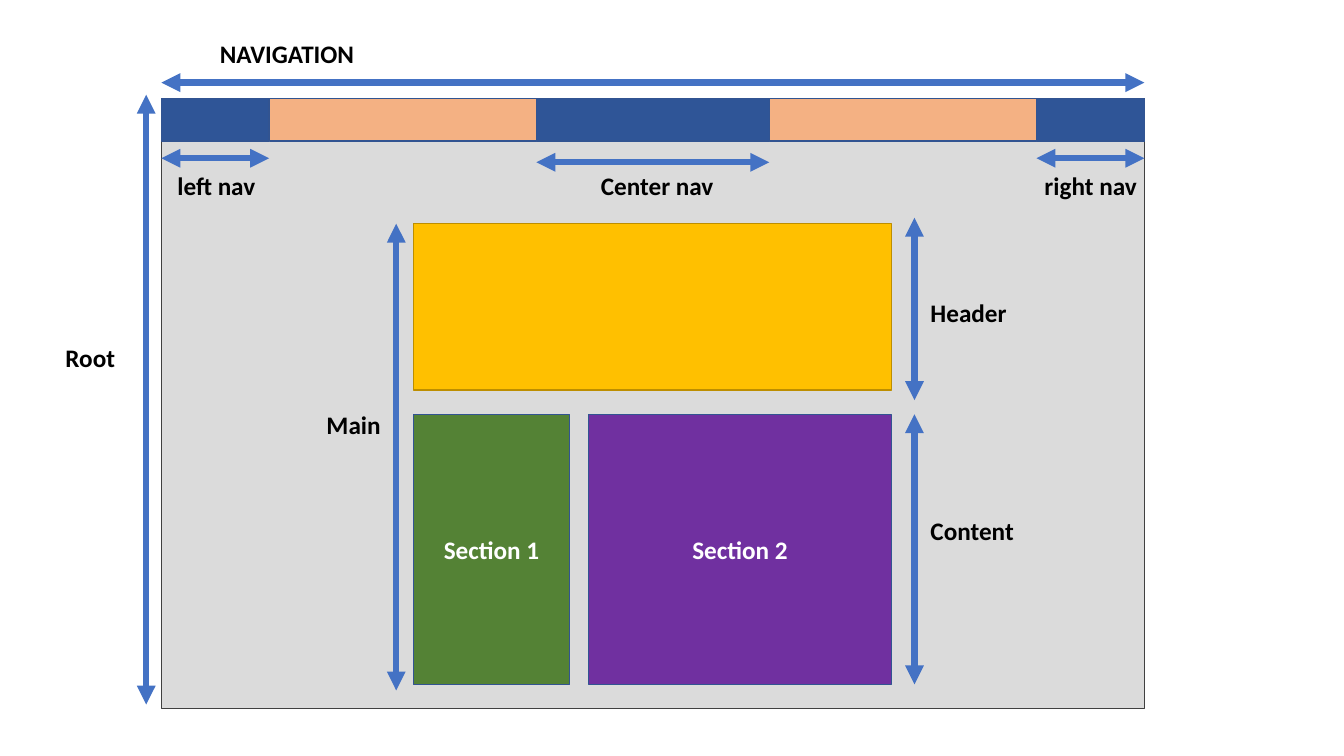
from itertools import accumulate

from lxml import etree
from pptx import Presentation
from pptx.dml.color import RGBColor
from pptx.enum import shapes, text
from pptx.oxml.ns import qn
from pptx.util import Inches, Pt

BLACK, WHITE, GREY, CHARCOAL = "000000", "FFFFFF", "DBDBDB", "404040"
NAVY, EDGE, PEACH, ARROW = "2F5597", "325491", "F4B183", "4472C4"
GOLD, GOLD_EDGE, GREEN, PURPLE = "FFC000", "BD8E00", "548235", "7030A0"


def rgb(color):
    return RGBColor.from_string(color)


def write(tf, words, color=BLACK, size=18, align=text.PP_ALIGN.LEFT):
    p = tf.paragraphs[0]
    p.alignment = align
    r = p.add_run()
    r.text = words
    r.font.name, r.font.size, r.font.bold = "Calibri", Pt(size), True
    r.font.color.rgb = rgb(color)


def add_block(s, x, y, w, h, fill, line=EDGE, words=None):
    sp = s.shapes.add_shape(shapes.MSO_SHAPE.RECTANGLE,
                            Inches(x), Inches(y), Inches(w), Inches(h))
    sp.shadow.inherit = False
    sp.fill.solid()
    sp.fill.fore_color.rgb = rgb(fill)
    sp.line.color.rgb = rgb(line)
    sp.line.width = Pt(1)
    if words:
        tf = sp.text_frame
        tf.word_wrap = True
        tf.vertical_anchor = text.MSO_ANCHOR.MIDDLE
        write(tf, words, color=WHITE, align=text.PP_ALIGN.CENTER)


def add_label(s, x, y, words, w=1.73, inset=0.16):
    sp = s.shapes.add_textbox(Inches(x), Inches(y), Inches(w), Inches(0.4))
    tf = sp.text_frame
    tf.word_wrap = True
    tf.auto_size = text.MSO_AUTO_SIZE.SHAPE_TO_FIT_TEXT
    tf.margin_left = Inches(inset)
    write(tf, words)


def add_span(s, x1, y1, x2, y2):
    """Draw a double-headed arrow that marks the extent of a region."""
    c = s.shapes.add_connector(shapes.MSO_CONNECTOR.STRAIGHT,
                               Inches(x1), Inches(y1), Inches(x2), Inches(y2))
    c.line.color.rgb = rgb(ARROW)
    c.line.width = Pt(4.5)
    ln = c.line._get_or_add_ln()
    for end in ("a:headEnd", "a:tailEnd"):
        etree.SubElement(ln, qn(end), type="triangle")
    etree.SubElement(c._element.spPr, qn("a:effectLst"))


def add_root(s, x, y, w, h):
    add_block(s, x, y, w, h, GREY, line=CHARCOAL)
    add_span(s, x - 0.15, y + h - 0.04, x - 0.15, y - 0.04)
    add_label(s, x - 1.11, y + 2.37, "Root")


def add_navigation(s, x, y, w, h):
    side, center = 1.07, 2.31
    gap = (w - 2 * side - center) / 2
    widths = [side, gap, center, gap, side]
    lefts = list(accumulate(widths[:-1], initial=x))
    for i, (left, width) in enumerate(zip(lefts, widths)):
        add_block(s, left, y, width, h, PEACH if i % 2 else NAVY)

    add_span(s, x, y - 0.16, x + w, y - 0.16)
    add_label(s, x + 0.42, y - 0.65, "NAVIGATION")

    # segment, arrow drop below the bar, label offset from the segment, name
    for i, drop, shift, name in ((0, 0.17, 0, "left nav"),
                                 (2, 0.21, 0.48, "Center nav"),
                                 (4, 0.17, -0.08, "right nav")):
        arrow_y = y + h + drop
        add_span(s, lefts[i], arrow_y, lefts[i] + widths[i], arrow_y)
        add_label(s, lefts[i] + shift, y + h + 0.24, name)


def add_main(s, x, y, w, h):
    header_h, content_h, section_w, gutter = 1.65, 2.68, 1.55, 0.19
    content_y = y + h - content_h
    section2_x = x + section_w + gutter
    add_block(s, x, y, w, header_h, GOLD, line=GOLD_EDGE)
    add_block(s, x, content_y, section_w, content_h, GREEN, words="Section 1")
    add_block(s, section2_x, content_y, x + w - section2_x, content_h, PURPLE,
              words="Section 2")

    add_span(s, x - 0.17, y + h + 0.06, x - 0.17, y)
    add_label(s, x - 0.96, y + 1.79, "Main", w=0.96, inset=0.1)

    right = x + w + 0.23
    add_span(s, right, y + header_h + 0.1, right, y - 0.06)
    add_label(s, right + 0.06, y + 0.68, "Header", w=1.09, inset=0.1)
    add_span(s, right, y + h, right, content_y)
    add_label(s, right + 0.06, content_y + 0.95, "Content", w=1.09, inset=0.1)


def main():
    prs = Presentation()
    prs.slide_width, prs.slide_height = Inches(13.33), Inches(7.5)
    s = prs.slides.add_slide(prs.slide_layouts[6])
    add_root(s, 1.6, 0.98, 9.75, 6.05)
    add_navigation(s, 1.6, 0.98, 9.75, 0.42)
    add_main(s, 4.1, 2.22, 4.74, 4.57)
    prs.save("out.pptx")


if __name__ == "__main__":
    main()
